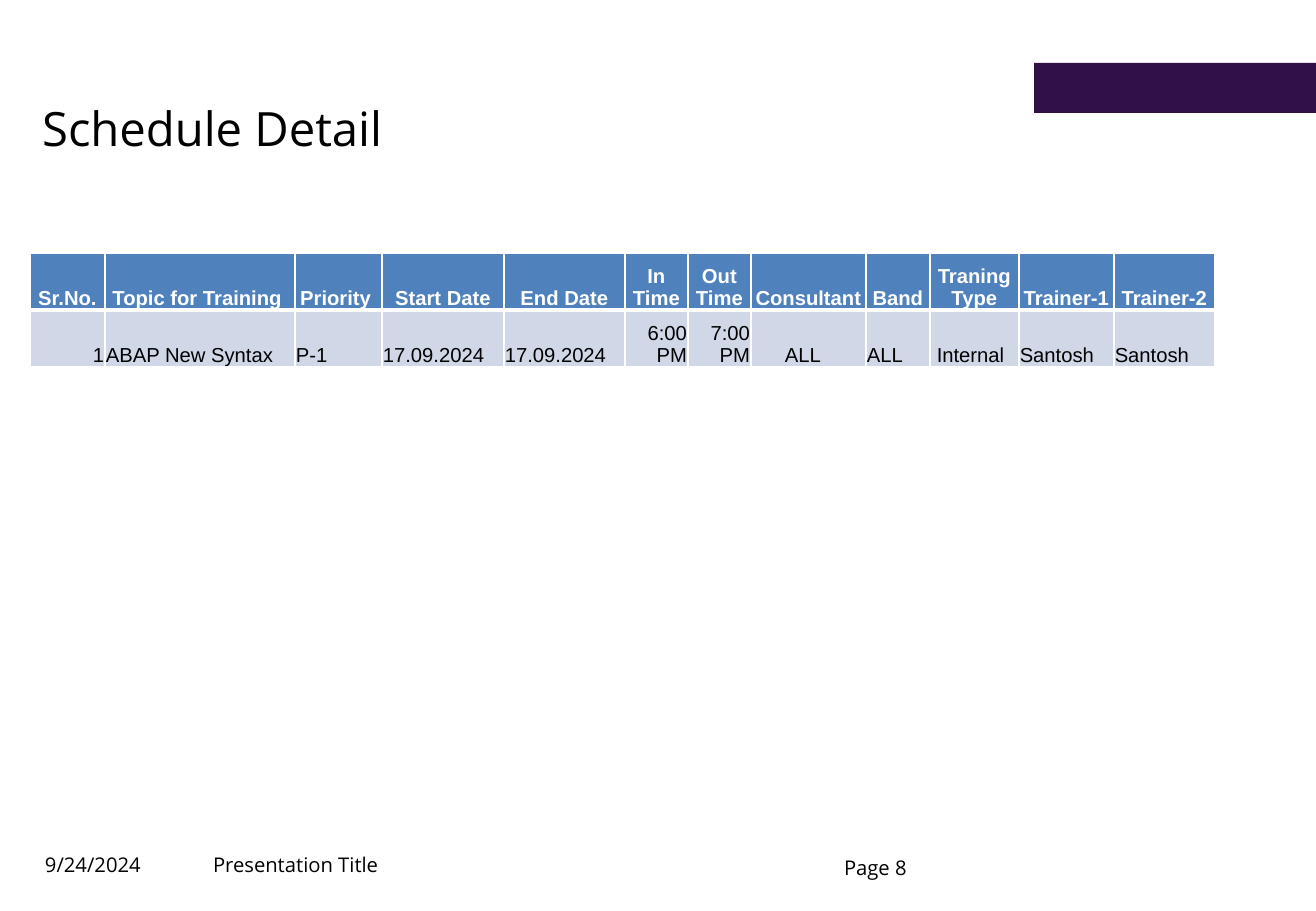
"""Build the schedule detail slide with its training table."""
import pptx
import pptx.dml.color
import pptx.enum.shapes
import pptx.enum.text
import pptx.oxml
import pptx.oxml.ns
import pptx.util

ALIGN = pptx.enum.text.PP_ALIGN
ANCHOR = pptx.enum.text.MSO_ANCHOR
PX = 914400 / 121.5
COLORS = {"text": "000000", "white": "FFFFFF", "accent": "301047",
          "header": "4F81BD", "body": "D0D8E8"}
TITLE = ("Schedule Detail", (30, 91, 1185, 73))
ACCENT_BAR = (1034, 63, 282, 50)
FOOTERS = [
    ("9/24/2024", (45, 840, 192, 37), ANCHOR.BOTTOM),
    ("Presentation Title", (213, 840, 237, 37), ANCHOR.BOTTOM),
    ("Page 8", (844, 858, 169, 21), ANCHOR.TOP),
]
TABLE_ORIGIN = (30, 253)
ROW_HEIGHT = 57
COLUMNS = [
    ("Sr.No.", "1", 75, ALIGN.RIGHT, 1),
    ("Topic for Training ", "ABAP New Syntax", 190, ALIGN.LEFT, 1),
    ("Priority ", "P-1", 87, ALIGN.LEFT, 1),
    ("Start Date", "17.09.2024", 122, ALIGN.LEFT, 1),
    ("End Date", "17.09.2024", 121, ALIGN.LEFT, 1),
    ("In Time", "6:00 PM", 63, ALIGN.RIGHT, 1),
    ("Out Time", "7:00 PM", 63, ALIGN.RIGHT, 1),
    ("Consultant", "ALL", 115, ALIGN.LEFT, 34),
    ("Band", "ALL", 64, ALIGN.LEFT, 1),
    ("Traning Type", "Internal", 89, ALIGN.LEFT, 7),
    ("Trainer-1", "Santosh", 95, ALIGN.LEFT, 1),
    ("Trainer-2", "Santosh", 101, ALIGN.LEFT, 1),
]
HEADER_BORDERS = {"lnL": 1, "lnR": 1, "lnT": 1, "lnB": 3}
BODY_BORDERS = {"lnL": 1, "lnR": 1, "lnT": 3, "lnB": 1}


def emu(pixels):
    return round(pixels * PX)


def rgb(name):
    return pptx.dml.color.RGBColor.from_string(COLORS[name])


def style_paragraph(paragraph, size, font="Open Sans", color="text", bold=False, align=ALIGN.LEFT):
    paragraph.alignment = align
    paragraph.font.name = font
    paragraph.font.size = pptx.util.Pt(size)
    paragraph.font.bold = bold
    paragraph.font.color.rgb = rgb(color)


def add_title(slide):
    text, box = TITLE
    title = slide.shapes.title
    title.left, title.top, title.width, title.height = map(emu, box)
    title.text_frame.text = text
    title.text_frame.vertical_anchor = ANCHOR.MIDDLE
    style_paragraph(title.text_frame.paragraphs[0], 28)


def add_accent_bar(slide):
    bar = slide.shapes.add_shape(pptx.enum.shapes.MSO_SHAPE.RECTANGLE, *map(emu, ACCENT_BAR))
    bar.shadow.inherit = False
    bar.fill.solid()
    bar.fill.fore_color.rgb = rgb("accent")
    bar.line.fill.background()


def add_footer(slide, text, box, anchor):
    frame = slide.shapes.add_textbox(*map(emu, box)).text_frame
    frame.word_wrap = True
    frame.vertical_anchor = anchor
    frame.margin_left = frame.margin_right = frame.margin_top = frame.margin_bottom = 0
    frame.text = text
    frame.paragraphs[0].line_spacing = 0.9
    style_paragraph(frame.paragraphs[0], 12)


def set_borders(cell, borders):
    properties = cell._tc.get_or_add_tcPr()
    for position, (side, points) in enumerate(borders.items()):
        properties.insert(position, pptx.oxml.parse_xml(
            f'<a:{side} {pptx.oxml.ns.nsdecls("a")} w="{pptx.util.Pt(points)}">'
            f'<a:solidFill><a:srgbClr val="{COLORS["white"]}"/></a:solidFill></a:{side}>'))


def fill_cell(cell, text, fill, color, bold, align, margin, borders):
    cell.text = text
    cell.vertical_anchor = ANCHOR.BOTTOM
    cell.margin_left = emu(margin)
    cell.margin_right = cell.margin_top = emu(1)
    cell.margin_bottom = 0
    cell.fill.solid()
    cell.fill.fore_color.rgb = rgb(fill)
    set_borders(cell, borders)
    style_paragraph(cell.text_frame.paragraphs[0], 12, "Arial", color, bold, align)


def add_schedule(slide):
    total_width = sum(column[2] for column in COLUMNS)
    table = slide.shapes.add_table(
        2, len(COLUMNS), *map(emu, (*TABLE_ORIGIN, total_width, 2 * ROW_HEIGHT))).table
    for row in table.rows:
        row.height = emu(ROW_HEIGHT)
    for index, (heading, value, width, align, margin) in enumerate(COLUMNS):
        table.columns[index].width = emu(width)
        fill_cell(table.cell(0, index), heading, "header", "white", True,
                  ALIGN.CENTER, 1, HEADER_BORDERS)
        fill_cell(table.cell(1, index), value, "body", "text", False,
                  align, margin, BODY_BORDERS)


def main():
    presentation = pptx.Presentation()
    presentation.slide_width = emu(1316)
    presentation.slide_height = emu(911)
    slide = presentation.slides.add_slide(presentation.slide_layouts[5])
    add_accent_bar(slide)
    for footer in FOOTERS:
        add_footer(slide, *footer)
    add_title(slide)
    add_schedule(slide)
    presentation.save("out.pptx")


if __name__ == "__main__":
    main()
